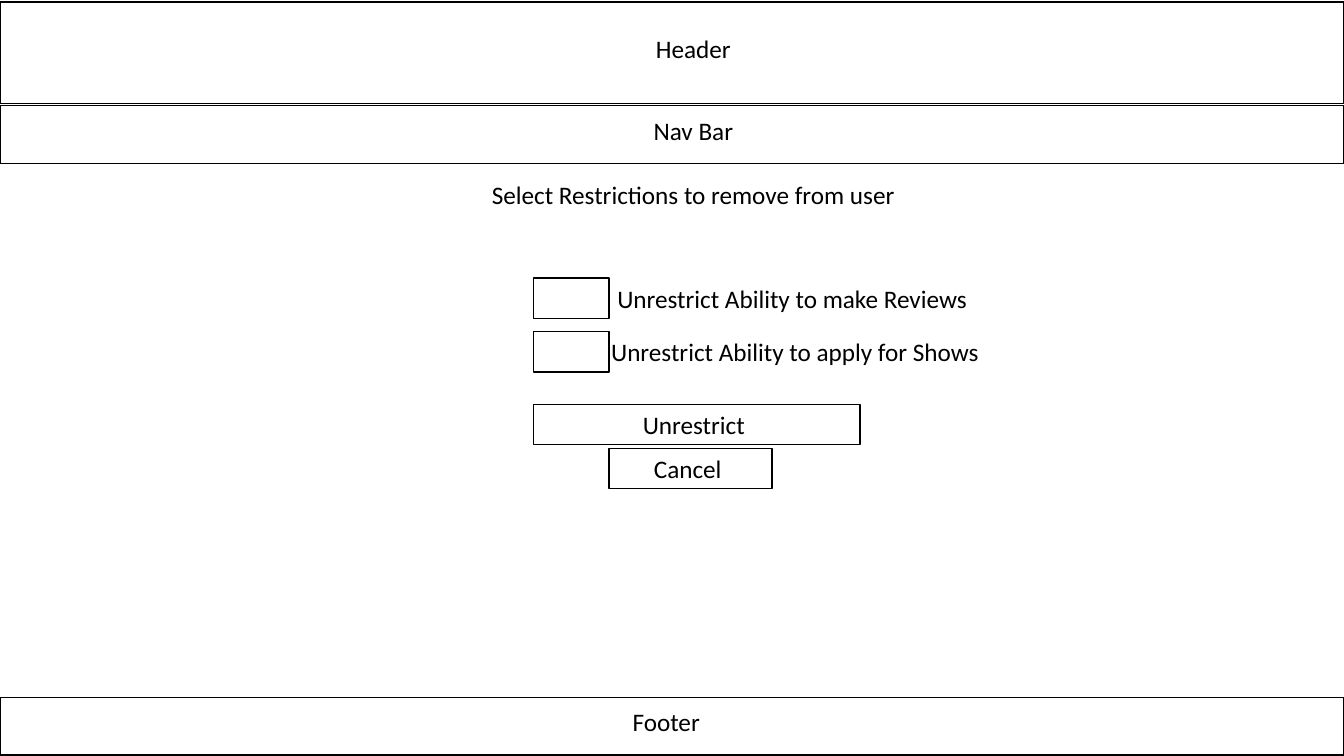
import pptx
import pptx.util
import pptx.dml.color
import pptx.enum.shapes
import pptx.enum.text

BLACK = pptx.dml.color.RGBColor(0, 0, 0)
WIDTH = pptx.util.Inches(13.33)
HEIGHT = pptx.util.Inches(7.5)
ANCHOR = pptx.enum.text.MSO_ANCHOR
LABEL_WIDTH = 44.04
LABEL_LEFT = 29.78
FORM_LEFT = 39.68
CHECKBOX_WIDTH = 5.63
ROW_HEIGHT = 5.33
BAR_HEIGHT = 7.6


def frame(left, top, width, height):
    return (int(WIDTH * left / 100), int(HEIGHT * top / 100),
            int(WIDTH * width / 100), int(HEIGHT * height / 100))


def write(sp, text, size=18, font="Calibri", color=BLACK, anchor=ANCHOR.TOP,
          fit=pptx.enum.text.MSO_AUTO_SIZE.NONE):
    tf = sp.text_frame
    tf.word_wrap = True
    tf.auto_size = fit
    tf.vertical_anchor = anchor
    p = tf.paragraphs[0]
    p.alignment = pptx.enum.text.PP_ALIGN.CENTER
    r = p.add_run()
    r.text = text
    r.font.size = pptx.util.Pt(size)
    r.font.name = font
    r.font.color.rgb = color


def add_box(s, left, top, width, height, text=None):
    sp = s.shapes.add_shape(pptx.enum.shapes.MSO_SHAPE.RECTANGLE,
                            *frame(left, top, width, height))
    sp.shadow.inherit = False
    sp.fill.background()
    sp.line.color.rgb = BLACK
    sp.line.width = pptx.util.Pt(1)
    if text:
        write(sp, text, anchor=ANCHOR.MIDDLE)


def add_label(s, text, left, top, height=ROW_HEIGHT):
    sp = s.shapes.add_textbox(*frame(left, top, LABEL_WIDTH, height))
    write(sp, text, fit=pptx.enum.text.MSO_AUTO_SIZE.SHAPE_TO_FIT_TEXT)


def add_heading(s, text, top):
    sp = s.shapes.title
    sp.left, sp.top, sp.width, sp.height = frame(
        LABEL_LEFT, top, LABEL_WIDTH, ROW_HEIGHT)
    write(sp, text)


def add_bar(s, text, top, height, label_left, label_top):
    add_box(s, 0, top, 100, height)
    add_label(s, text, label_left, label_top, height=6.4)


def add_option(s, text, top):
    add_label(s, text, 37.13, top)
    add_box(s, FORM_LEFT, top, CHECKBOX_WIDTH, ROW_HEIGHT)


def main():
    prs = pptx.Presentation()
    prs.slide_width, prs.slide_height = WIDTH, HEIGHT
    s = prs.slides.add_slide(prs.slide_layouts[5])

    add_bar(s, "Header ", 0.27, 13.47, LABEL_LEFT, 3.73)
    add_bar(s, "Nav Bar ", 14, BAR_HEIGHT, LABEL_LEFT, 14.53)
    add_bar(s, "Footer ", 92.27, BAR_HEIGHT, 27.76, 92.8)
    add_heading(s, "Select Restrictions to remove from user ", 23.07)
    add_option(s, "Unrestrict Ability to make Reviews ", 36.8)
    add_option(s, "Unrestrict Ability to apply for Shows", 43.87)
    add_box(s, FORM_LEFT, 53.47, 24.31, ROW_HEIGHT, "Unrestrict ")
    add_box(s, FORM_LEFT + CHECKBOX_WIDTH, 59.33, 12.15, ROW_HEIGHT, "Cancel ")

    prs.save("out.pptx")


if __name__ == "__main__":
    main()
